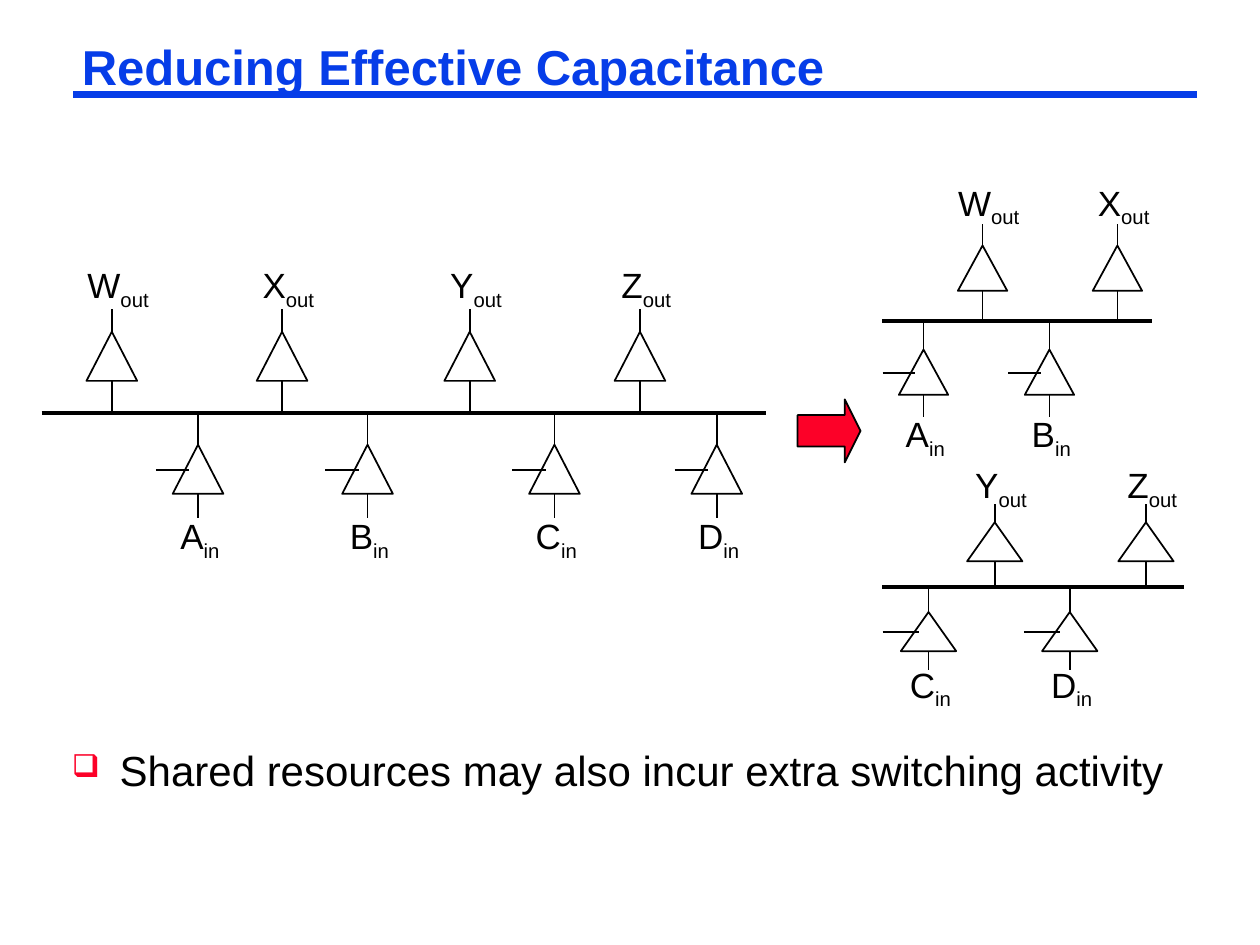
from lxml.etree import SubElement
from pptx import Presentation
from pptx.dml.color import RGBColor
from pptx.enum.shapes import MSO_CONNECTOR as Link, MSO_SHAPE as Shape
from pptx.enum.text import MSO_ANCHOR as Anchor, MSO_AUTO_SIZE as Fit, PP_ALIGN as Align
from pptx.oxml.ns import qn
from pptx.util import Inches, Pt

# The page is a grid of 100 columns by 75 rows; every length counts in cells.
COLUMNS, ROWS = 100, 75
CELL = Inches(0.1)
COLORS = {"blue": "063DE8", "red": "FC0128", "black": "000000"}

# Levels of a bus diagram, as shares of its height
LEVELS = {"out_tip": 0.11, "out_base": 0.345, "bus": 0.5,
          "in_tip": 0.65, "enable": 0.77, "in_base": 0.885}
LABEL_GAP = 0.1
LABEL_SIZE = (7.6, 4.3)
LABEL_FORMAT = {"size": Pt(20), "name": "Arial"}
PAIR_OUT, PAIR_IN = (37.3, 87.3), (15.4, 62.1)

# box, buffer width, output names and places, input names and places (percent of width)
BUSES = [
    ((3.3, 24.5, 57.5, 16.6), 7, "WXYZ", (9.7, 33.2, 59.1, 82.6),
     "ABCD", (21.6, 45, 70.8, 93.2)),
    ((70, 17.8, 21.4, 15.3), 18.3, "WX", PAIR_OUT, "AB", PAIR_IN),
    ((70, 40, 24, 13.2), 18.3, "YZ", PAIR_OUT, "CD", PAIR_IN),
]


def cells(*values):
    return [round(value * CELL) for value in values]


def color(name):
    return RGBColor.from_string(COLORS[name])


def set_values(target, values):
    for name, value in values.items():
        setattr(target, name, value)


def add_line(page, start, end, width=1, name="black"):
    line = page.shapes.add_connector(Link.STRAIGHT, *cells(*start, *end))
    line.line.width = Pt(width)
    line.line.color.rgb = color(name)
    SubElement(line._element.spPr, qn("a:effectLst"))
    return line


def add_outline(page, kind, box):
    shape = page.shapes.add_shape(kind, *cells(*box))
    shape.shadow.inherit = False
    shape.fill.background()
    shape.line.width = Pt(1)
    shape.line.color.rgb = color("black")
    return shape


def add_text(page, box, frame_format):
    """Add a text box and return its frame."""
    frame = page.shapes.add_textbox(*cells(*box)).text_frame
    set_values(frame, {"auto_size": Fit.SHAPE_TO_FIT_TEXT, **frame_format})
    return frame


def add_span(para, text, font_format, name="black"):
    span = para.add_run()
    span.text = text
    set_values(span.font, font_format)
    span.font.color.rgb = color(name)
    return span


def add_label(page, center, letter, suffix):
    width, height = LABEL_SIZE
    box = (center[0] - width / 2, center[1] - height / 2, width, height)
    frame = add_text(page, box, {"word_wrap": False, "vertical_anchor": Anchor.MIDDLE})
    para = frame.paragraphs[0]
    para.alignment = Align.CENTER
    add_span(para, letter, LABEL_FORMAT)
    subscript = add_span(para, suffix, LABEL_FORMAT)
    subscript.font._element.set("baseline", "-25000")


def add_buffer(page, x, width, tip, base, tip_end, base_end):
    """Draw a triangle with one lead from its tip and one from its base."""
    gate = add_outline(page, Shape.FLOWCHART_EXTRACT, (x - width / 2, tip, width, base - tip))
    for site, start, end in ((0, tip, tip_end), (2, base, base_end)):
        add_line(page, (x, start), (x, end)).begin_connect(gate, site)


def add_bus(page, box, gate_share, out_names, out_places, in_names, in_places):
    left, top, width, height = box
    level = {name: top + share * height for name, share in LEVELS.items()}
    bottom, gap = top + height, LABEL_GAP * height
    gate_width = width * gate_share / 100

    add_line(page, (left, level["bus"]), (left + width, level["bus"]), 2.25)
    for name, place in zip(out_names, out_places):
        x = left + width * place / 100
        add_buffer(page, x, gate_width, level["out_tip"], level["out_base"], top, level["bus"])
        add_label(page, (x + 0.5, top - gap), name, "out")
    for name, place in zip(in_names, in_places):
        x = left + width * place / 100
        add_buffer(page, x, gate_width, level["in_tip"], level["in_base"], level["bus"], bottom)
        add_line(page, (x - 0.83 * gate_width, level["enable"]),
                 (x - 0.17 * gate_width, level["enable"]))
        add_label(page, (x + 0.15, bottom + gap), name, "in")


def add_passage(page, box, text, spacing, font_format, name, anchor):
    side, edge = cells(0.7, 0.3)
    frame = add_text(page, box, {
        "word_wrap": True, "vertical_anchor": anchor, "margin_left": side,
        "margin_right": side, "margin_top": edge, "margin_bottom": edge})
    para = frame.paragraphs[0]
    para.line_spacing = spacing
    add_span(para, text, {"name": "Arial", **font_format}, name)
    return para


def add_title(page, box):
    left, top, width, height = box
    add_line(page, (left, top + height - 0.4), (left + width, top + height - 0.4), 4.5, "blue")
    add_passage(page, (left, top, 76.7, height), "Reducing Effective Capacitance",
                0.87, {"size": Pt(28), "bold": True}, "blue", Anchor.BOTTOM)


def add_remark(page, box):
    para = add_passage(page, box, "Shared resources may also incur extra switching activity",
                       0.9, {"size": Pt(24)}, "black", Anchor.TOP)
    props = para._p.get_or_add_pPr()
    indent, = cells(3.8)
    props.set("marL", str(indent))
    props.set("indent", str(-indent))
    bullet_color = SubElement(props, qn("a:buClr"))
    SubElement(bullet_color, qn("a:srgbClr"), val=COLORS["red"])
    SubElement(props, qn("a:buSzPct"), val="75000")
    SubElement(props, qn("a:buChar"), char="❑")


def add_arrow(page, box):
    arrow = add_outline(page, Shape.RIGHT_ARROW, box)
    arrow.fill.solid()
    arrow.fill.fore_color.rgb = color("red")
    arrow.adjustments[0], arrow.adjustments[1] = 0.5, 0.25


def main():
    deck = Presentation()
    deck.slide_width, deck.slide_height = cells(COLUMNS, ROWS)
    page = deck.slides.add_slide(deck.slide_layouts[6])
    add_title(page, (5.8, 3.3, 89.2, 4.6))
    add_remark(page, (5, 59.2, 92.5, 4.1))
    for bus in BUSES:
        add_bus(page, *bus)
    add_arrow(page, (63.3, 31.7, 5, 5))
    deck.save("out.pptx")


if __name__ == "__main__":
    main()
